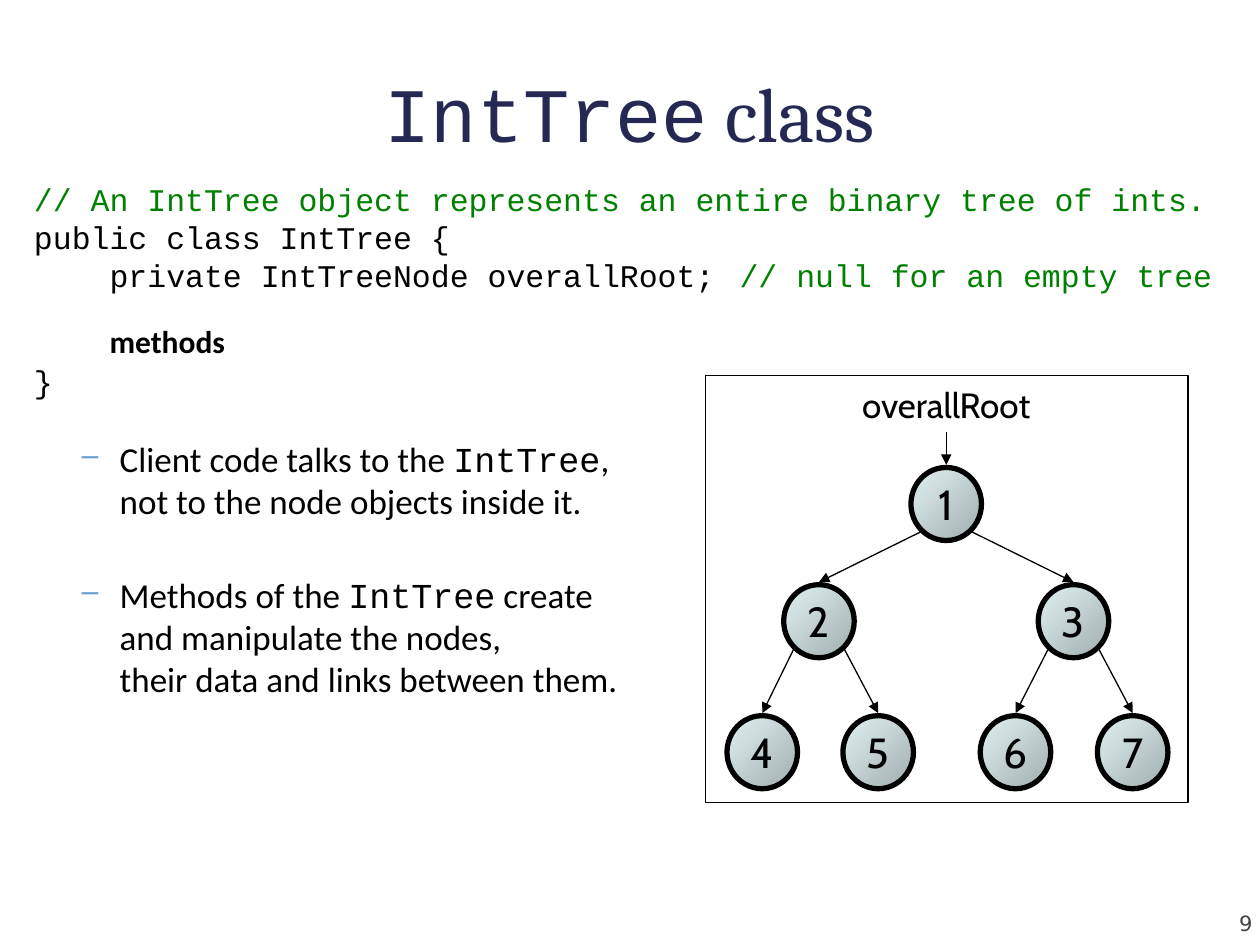
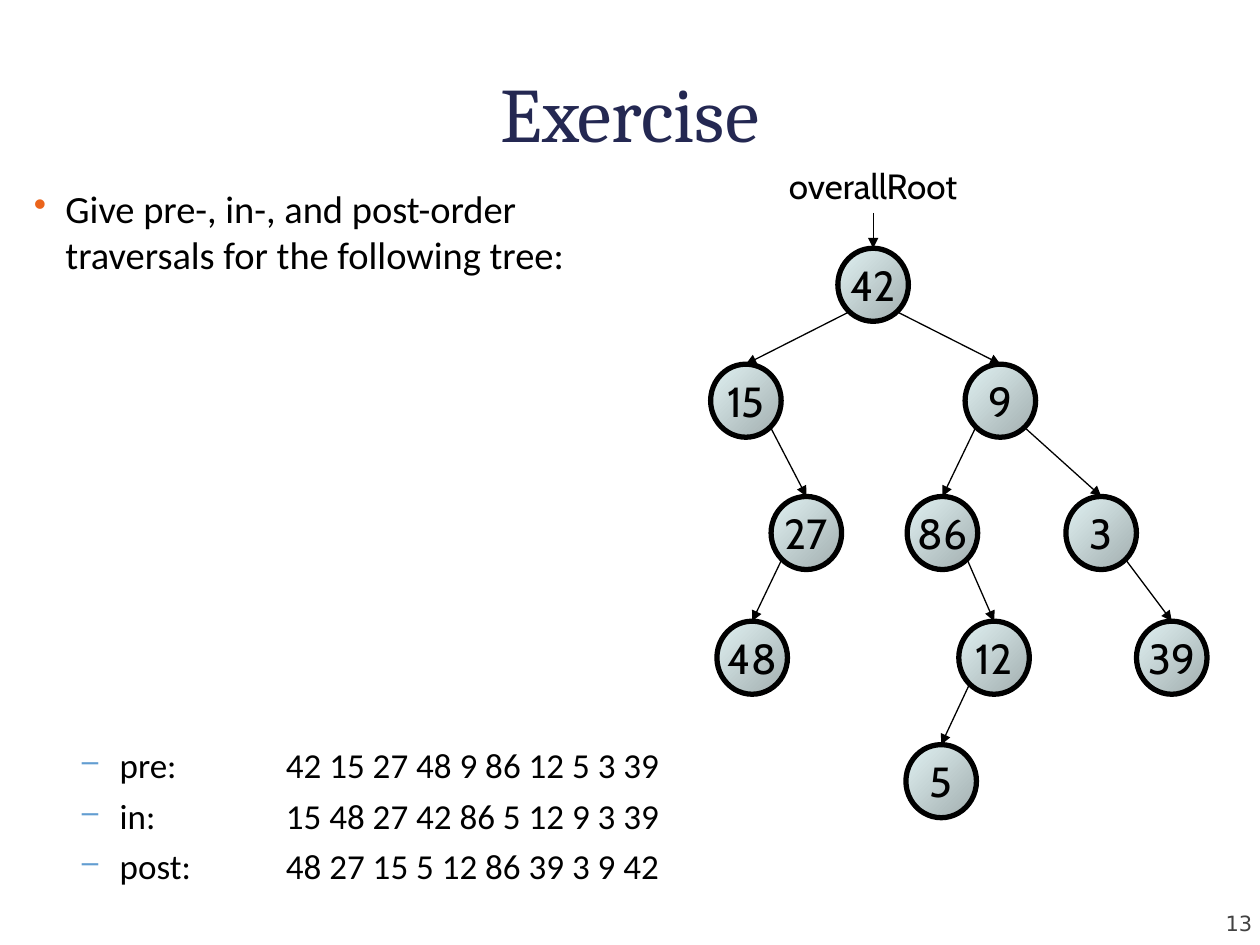
import pptx
import pptx.dml.color
import pptx.enum.shapes
import pptx.enum.text
import pptx.oxml
import pptx.oxml.ns
import pptx.util

EMU_PER_PX = 9144  # 100 px to the inch
COLORS = {
    "background": "FFFFFF",
    "title": "242852",
    "text": "000000",
    "comment": "008000",
    "number": "424242",
    "dot": "EB641B",
    "dash": "629DD1",
    "node_dark": "A1ADAE",
    "node_light": "E1F2F3",
}
BODY, CODE, HEADING, TREE = "Calibri", "Courier New", "Cambria", "Cabin"
ALIGN = pptx.enum.text.PP_ALIGN
ANCHOR = pptx.enum.text.MSO_ANCHOR
SHAPE = pptx.enum.shapes.MSO_SHAPE
NODE_WIDTH, NODE_HEIGHT = 56, 58
DOT = {"bullet": ("•", "dot", 95), "margin": 25, "hanging": 25}
DASH = {"bullet": ("–", "dash", 85), "margin": 68, "hanging": 30}


def px(length):
    return pptx.util.Emu(round(length * EMU_PER_PX))


def rgb(name):
    return pptx.dml.color.RGBColor.from_string(COLORS[name])


def add_xml(parent, tag, **attributes):
    element = pptx.oxml.parse_xml(f"<a:{tag} {pptx.oxml.ns.nsdecls('a')}/>")
    for name, value in attributes.items():
        element.set(name, str(value))
    parent.append(element)
    return element


def add_text(paragraph, text, font=BODY, size=20, color="text", bold=False):
    """Add a run for each line of text, with line breaks between them."""
    for index, line in enumerate(text.split("\n")):
        if index:
            paragraph.add_line_break()
        run = paragraph.add_run()
        run.text = line
        run.font.name = font
        run.font.size = pptx.util.Pt(size)
        run.font.bold = bold
        run.font.color.rgb = rgb(color)


def format_paragraph(paragraph, align=ALIGN.LEFT, before=0, margin=0, hanging=0,
                     bullet=None, tab=None):
    paragraph.alignment = align
    paragraph.space_before = pptx.util.Pt(before)
    properties = paragraph._p.get_or_add_pPr()
    properties.set("marL", str(px(margin)))
    properties.set("indent", str(px(-hanging)))
    if bullet:
        character, color, percent = bullet
        add_xml(add_xml(properties, "buClr"), "srgbClr", val=COLORS[color])
        add_xml(properties, "buSzPct", val=percent * 1000)
        add_xml(properties, "buChar", char=character)
    if tab:
        add_xml(add_xml(properties, "tabLst"), "tab", pos=px(tab), algn="l")


class Deck:
    def __init__(self):
        self.presentation = pptx.Presentation()
        self.presentation.slide_width = px(1000)
        self.presentation.slide_height = px(750)
        self.slide = None

    def add_slide(self, number, *title_runs):
        self.slide = self.presentation.slides.add_slide(self.presentation.slide_layouts[6])
        self.slide.background.fill.solid()
        self.slide.background.fill.fore_color.rgb = rgb("background")
        title = [(text, {"font": font, "size": 44, "color": "title"}) for text, font in title_runs]
        self.text_box(50, 0, 900, 125, [(title, {"align": ALIGN.CENTER})], anchor=ANCHOR.BOTTOM)
        number_run = (str(number), {"font": "DejaVu Sans", "size": 12, "color": "number"})
        self.text_box(911, 703, 83, 40, [([number_run], {"align": ALIGN.RIGHT})],
                      anchor=ANCHOR.BOTTOM)

    def fill_frame(self, frame, paragraphs, anchor=ANCHOR.TOP, wrap=True):
        """Each paragraph is a pair: its (text, format) runs and its own format."""
        frame.margin_left = frame.margin_right = frame.margin_top = frame.margin_bottom = 0
        frame.word_wrap = wrap
        frame.vertical_anchor = anchor
        for index, (runs, layout) in enumerate(paragraphs):
            paragraph = frame.add_paragraph() if index else frame.paragraphs[0]
            format_paragraph(paragraph, **layout)
            for text, style in runs:
                add_text(paragraph, text, **style)

    def text_box(self, left, top, width, height, paragraphs, **options):
        box = self.slide.shapes.add_textbox(px(left), px(top), px(width), px(height))
        self.fill_frame(box.text_frame, paragraphs, **options)

    def outline(self, kind, left, top, width, height, weight):
        shape = self.slide.shapes.add_shape(kind, px(left), px(top), px(width), px(height))
        shape.shadow.inherit = False
        shape.fill.background()
        shape.line.color.rgb = rgb("text")
        shape.line.width = pptx.util.Pt(weight)
        return shape

    def node(self, value, left, top):
        shape = self.outline(SHAPE.OVAL, left, top, NODE_WIDTH, NODE_HEIGHT, 3)
        shape.fill.gradient()
        shape.fill.gradient_angle = 135
        for stop, color in zip(shape.fill.gradient_stops, ("node_dark", "node_light")):
            stop.color.rgb = rgb(color)
        runs = [(str(value), {"font": TREE, "size": 24})]
        self.fill_frame(shape.text_frame, [(runs, {"align": ALIGN.CENTER})],
                        anchor=ANCHOR.MIDDLE, wrap=False)

    def arrow(self, start_x, start_y, end_x, end_y):
        connector = self.slide.shapes.add_connector(
            pptx.enum.shapes.MSO_CONNECTOR.STRAIGHT,
            px(start_x), px(start_y), px(end_x), px(end_y))
        connector.line.color.rgb = rgb("text")
        connector.line.width = pptx.util.Pt(0.75)
        add_xml(connector.line._get_or_add_ln(), "tailEnd", type="triangle")
        add_xml(connector._element.spPr, "effectLst")

    def tree(self, nodes, edges, gap):
        """Draw nodes {value: (left, top)}, root first; arrows stop gap px above a node."""
        for value, (left, top) in nodes.items():
            self.node(value, left, top)
        centers = {value: left + NODE_WIDTH / 2 for value, (left, _) in nodes.items()}
        for parent, child in edges:
            side = 20 if centers[child] > centers[parent] else -20
            self.arrow(centers[parent] + side, nodes[parent][1] + 51,
                       centers[child], nodes[child][1] - gap)
        # Label that points to the root
        root = next(iter(nodes))
        center, top = centers[root], nodes[root][1]
        label = [([("overallRoot", {"font": TREE})], {"align": ALIGN.CENTER})]
        self.text_box(center - 85, top - 72, 170, 44, label, anchor=ANCHOR.MIDDLE, wrap=False)
        self.arrow(center, top - 28, center, top - gap)


def build_class_slide(deck):
    deck.add_slide(9, ("IntTree", CODE), (" class", HEADING))

    # Class outline
    code = {"font": CODE, "size": 18}
    comment = {**code, "color": "comment"}
    deck.text_box(27, 143, 973, 170, [
        ([("// An IntTree object represents an entire binary tree of ints.", comment)], {}),
        ([("public class IntTree {", code)], {}),
        ([("private IntTreeNode overallRoot;\t", code), ("// null for an empty tree", comment)],
         {"margin": 60, "tab": 585}),
        ([("methods", {"size": 18, "bold": True})], {"margin": 60, "before": 16.5}),
        ([("}", code)], {"before": 1}),
    ])

    # Who uses what
    class_name = ("IntTree", {"font": CODE})
    deck.text_box(27, 347, 530, 220, [
        ([("Client code talks to the ", {}), class_name,
          (",\nnot to the node objects inside it.", {})], DASH),
        ([("Methods of the ", {}), class_name,
          (" create\nand manipulate the nodes,\ntheir data and links between them.", {})],
         {**DASH, "before": 30}),
    ])

    # Framed tree
    deck.outline(SHAPE.RECTANGLE, 560, 298, 383, 339, 0.75)
    nodes = {1: (723, 371), 2: (622, 464), 3: (824, 464),
             4: (577, 568), 5: (669, 568), 6: (778, 568), 7: (871, 568)}
    edges = [(child // 2, child) for child in range(2, 8)]
    deck.tree(nodes, edges, gap=2)


def build_exercise_slide(deck):
    deck.add_slide(13, ("Exercise", HEADING))

    # Task
    task = "Give pre-, in-, and post-order\ntraversals for the following tree:"
    deck.text_box(27, 147, 520, 80, [([(task, {"size": 22})], DOT)])

    # Answers
    answers = {
        "pre": "42 15 27 48 9 86 12 5 3 39",
        "in": "15 48 27 42 86 5 12 9 3 39",
        "post": "48 27 15 5 12 86 39 3 9 42",
    }
    deck.text_box(27, 590, 600, 120, [
        ([(f"{order}:\t{values}", {})], {**DASH, "before": 5 if index else 0, "tab": 200})
        for index, (order, values) in enumerate(answers.items())
    ])

    # Tree
    nodes = {42: (665, 197), 15: (564, 289), 9: (766, 289),
             27: (612, 394), 86: (720, 394), 3: (846, 394),
             48: (569, 493), 12: (761, 493), 39: (902, 493), 5: (719, 591)}
    edges = [(42, 15), (42, 9), (15, 27), (9, 86), (9, 3),
             (27, 48), (86, 12), (3, 39), (12, 5)]
    deck.tree(nodes, edges, gap=0)


def main():
    deck = Deck()
    build_class_slide(deck)
    build_exercise_slide(deck)
    deck.presentation.save("out.pptx")


if __name__ == "__main__":
    main()
